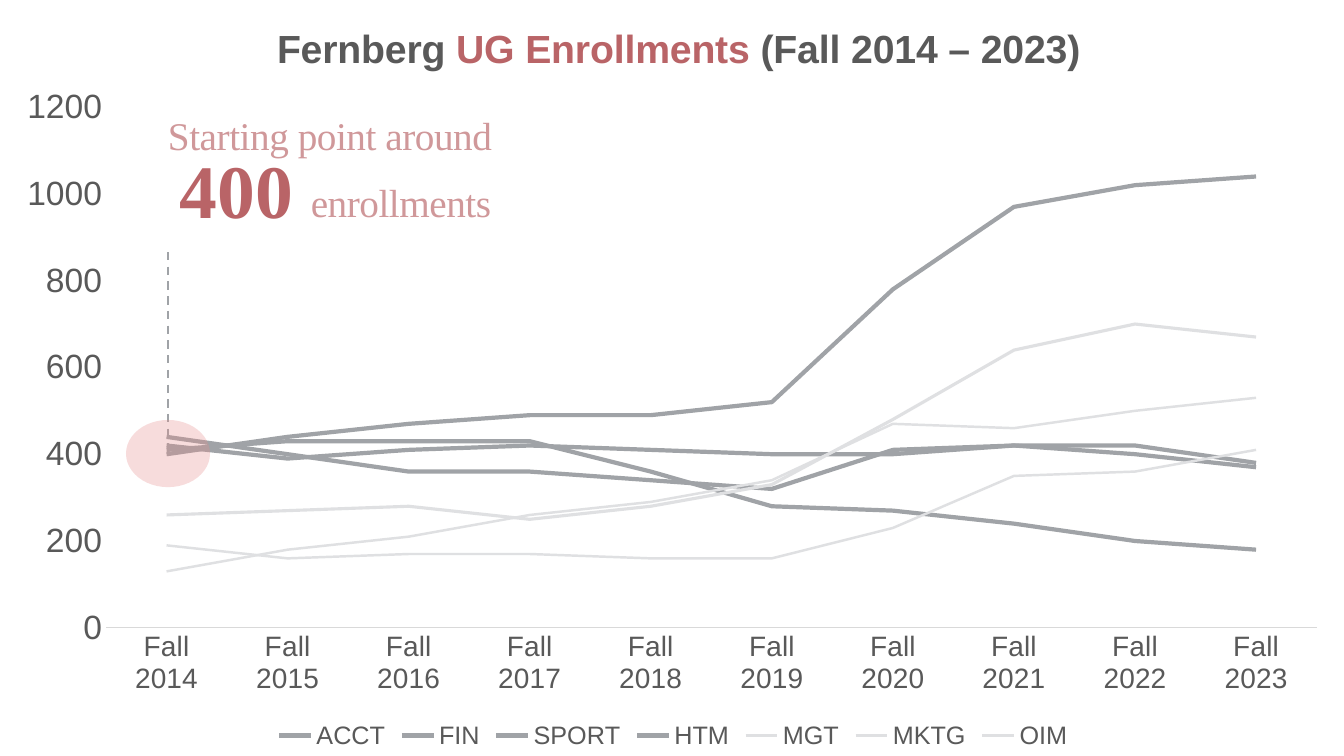
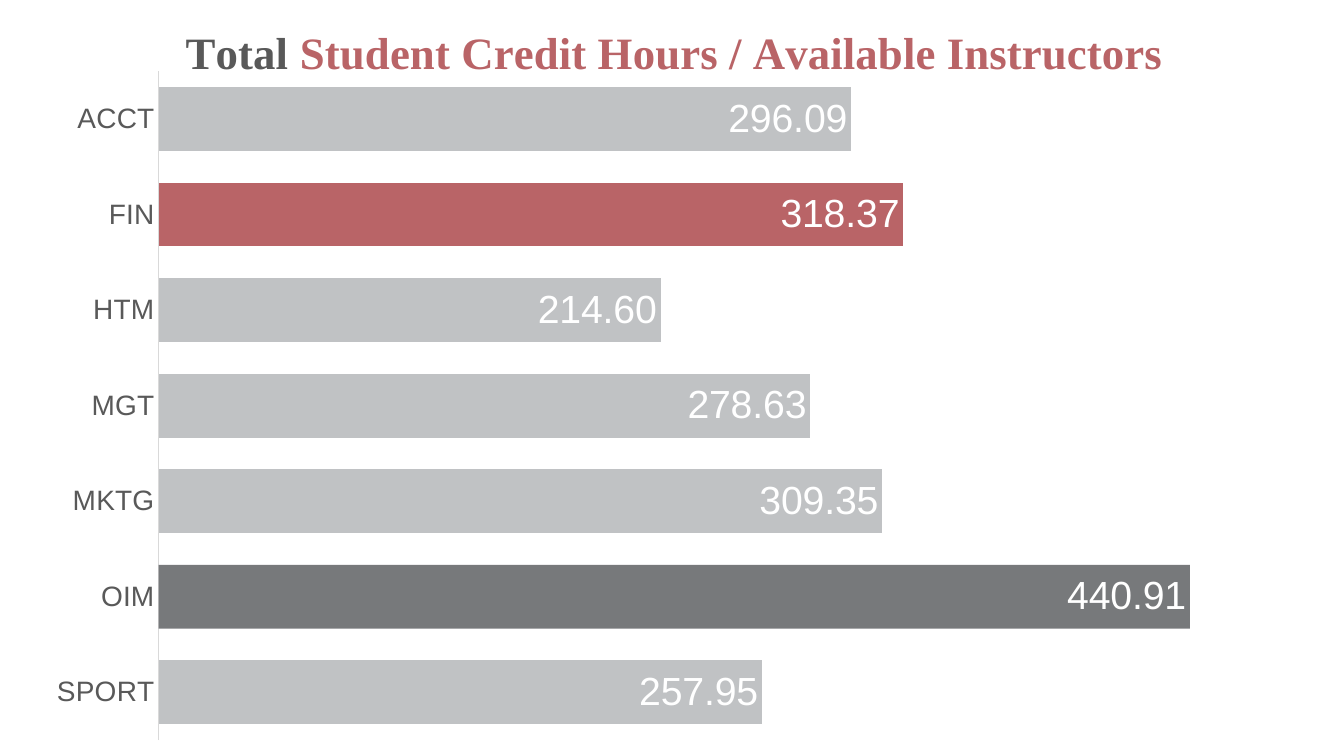
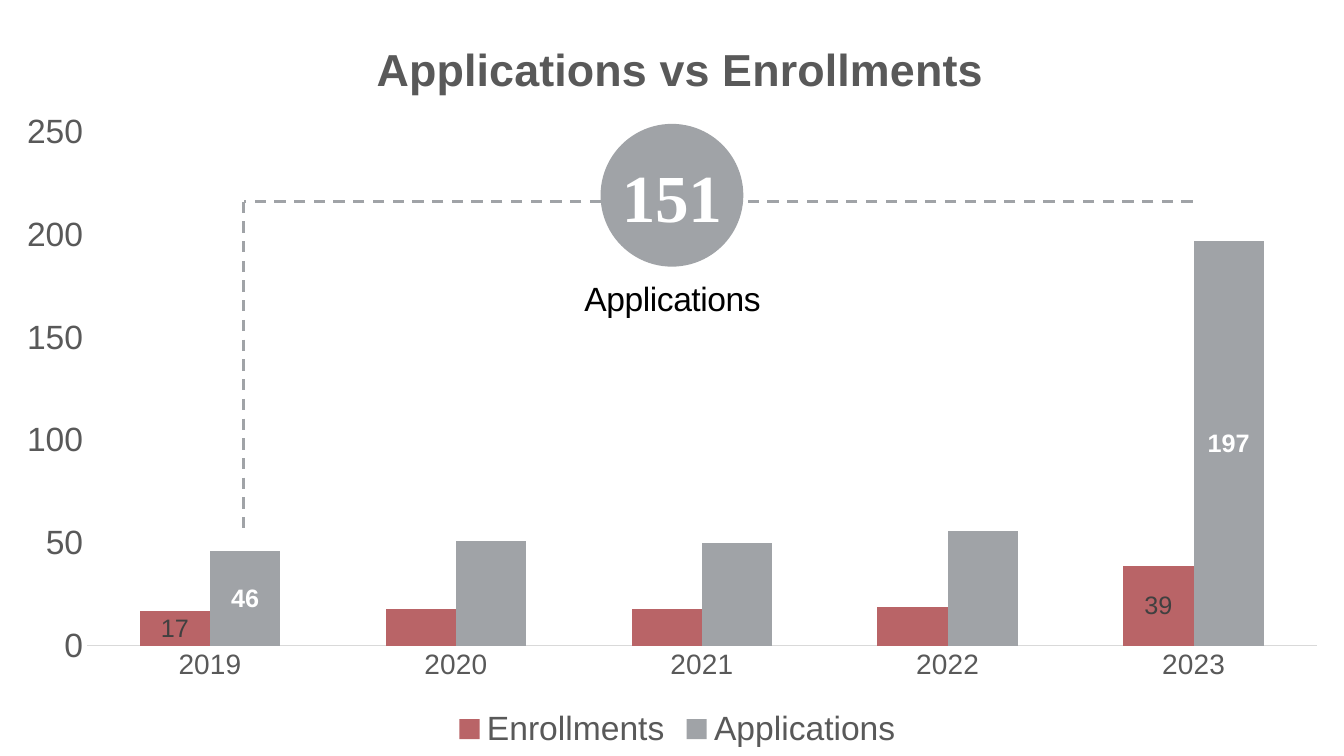
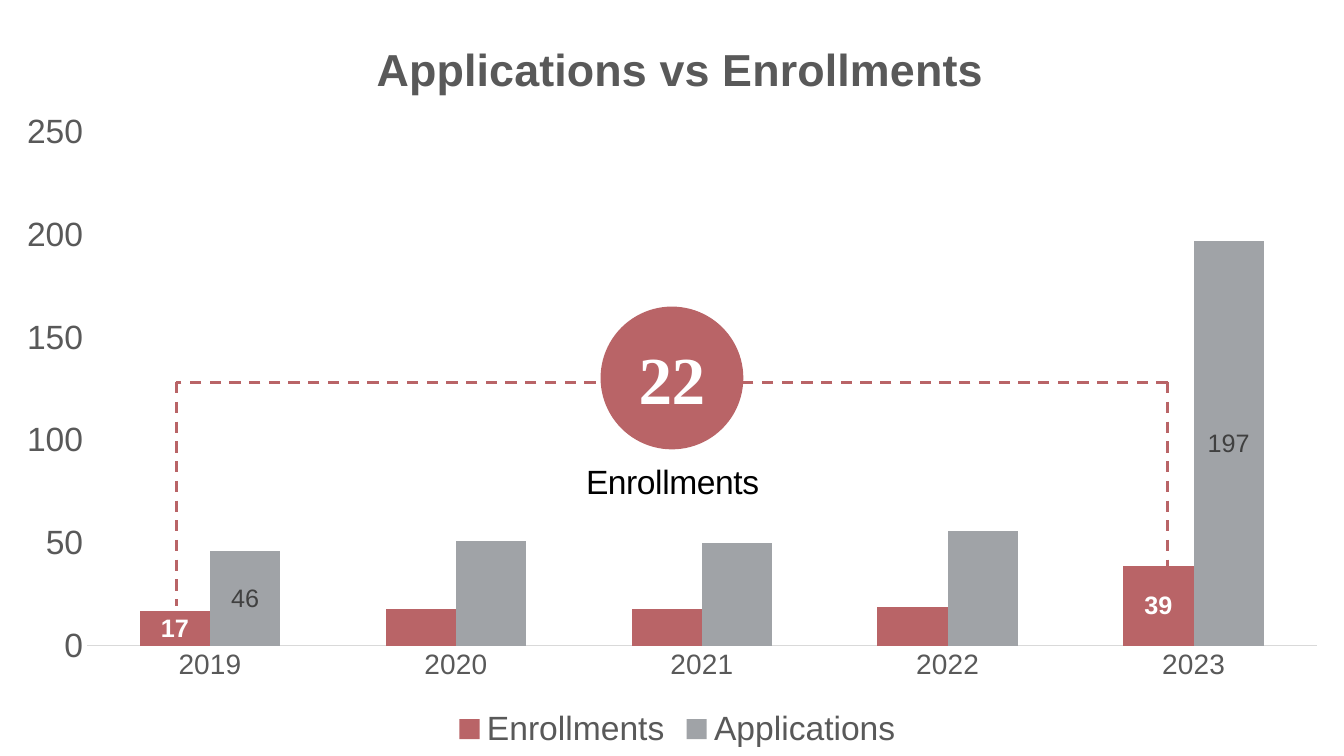
"""Build four slides of enrollment, credit-hour and application charts."""
from lxml.etree import SubElement
from pptx import Presentation
from pptx.chart.data import CategoryChartData
from pptx.dml.color import RGBColor
from pptx.enum.chart import (XL_CHART_TYPE, XL_LABEL_POSITION,
                             XL_LEGEND_POSITION, XL_TICK_MARK)
from pptx.enum.dml import MSO_LINE
from pptx.enum.shapes import MSO_CONNECTOR, MSO_SHAPE
from pptx.enum.text import MSO_ANCHOR, MSO_AUTO_SIZE, PP_ALIGN
from pptx.oxml.ns import qn
from pptx.util import Pt

PX = 9525
WIDTH, HEIGHT = 1280, 720
SANS, SERIF = "Arial", "Times New Roman"
COLORS = {
    "text": "595959", "red": "B96467", "rose": "D0989A", "blush": "E78C8C",
    "grey": "A0A3A7", "pale": "DFE0E2", "bar": "C0C2C4", "dark": "4A4D50",
    "axis": "D9D9D9", "label": "404040", "white": "FFFFFF", "black": "000000",
}

ENROLLMENTS = {
    "kind": XL_CHART_TYPE.LINE,
    "title": [("Fernberg ", "text"), ("UG Enrollments", "red"),
              (" (Fall 2014 – 2023)", "text")],
    "title_font": {"name": SANS, "size": 28},
    "title_at": (261, 23),
    "plot": (101, 102, 1153, 496),
    "axis_max": 1200, "axis_step": 200,
    "legend_size": 18, "legend_at": (258, 685),
    "categories": [f"Fall {year}" for year in range(2014, 2024)],
    "series": [
        ("ACCT", (440, 400, 360, 360, 340, 320, 410, 420, 400, 370), "grey", 3),
        ("FIN", (400, 440, 470, 490, 490, 520, 780, 970, 1020, 1040), "grey", 3),
        ("SPORT", (420, 390, 410, 420, 410, 400, 400, 420, 420, 380), "grey", 3),
        ("HTM", (410, 430, 430, 430, 360, 280, 270, 240, 200, 180), "grey", 3),
        ("MGT", (190, 160, 170, 170, 160, 160, 230, 350, 360, 410), "pale", 1.75),
        ("MKTG", (260, 270, 280, 250, 280, 330, 480, 640, 700, 670), "pale", 2.25),
        ("OIM", (130, 180, 210, 260, 290, 340, 470, 460, 500, 530), "pale", 1.75),
    ],
}
START_TEXTS = [
    ("Starting point around", (160, 104, 368, 44), 0,
     {"size": 28, "color": "rose", "spacing": -30}, 1.05),
    ("400", (152, 136, 152, 87), 19,
     {"size": 54, "color": "red", "bold": True}, 1),
    ("enrollments", (296, 168, 200, 44), 0,
     {"size": 28, "color": "rose", "spacing": -30}, 1.05),
]

CREDIT_HOURS = {
    "kind": XL_CHART_TYPE.BAR_CLUSTERED,
    "title": [("Total ", "text"),
              ("Student Credit Hours / Available Instructors", "red")],
    "title_font": {"name": SERIF, "size": 32},
    "title_at": (174, 23),
    "plot": (151, 68, 1114, 637),
    "axis_max": 500, "axis_step": 100,
    "categories": ["ACCT", "FIN", "HTM", "MGT", "MKTG", "OIM", "SPORT"],
    "series": [("Series 1", (296.09, 318.37, 214.6, 278.63, 309.35, 440.91, 257.95),
                "bar", 0)],
    "gap": 50,
}

APPLICATIONS = {
    "kind": XL_CHART_TYPE.COLUMN_CLUSTERED,
    "title": [("Applications vs Enrollments", "text")],
    "title_font": {"name": SANS, "size": 32},
    "title_at": (351, 31),
    "plot": (83, 126, 1171, 489),
    "axis_max": 250, "axis_step": 50,
    "legend_size": 24, "legend_at": (427, 672),
    "categories": [str(year) for year in range(2019, 2024)],
    "series": [("Enrollments", (17, 18, 18, 19, 39), "red", 0),
               ("Applications", (46, 51, 50, 56, 197), "grey", 0)],
    "gap": 150,
}
GROWTH = [
    {"focus": "Applications", "gain": "151", "color": "grey", "circle_top": 118,
     "lines": [(1136, 192, 232, 192), (232, 192, 232, 511)]},
    {"focus": "Enrollments", "gain": "22", "color": "red", "circle_top": 292,
     "lines": [(1112, 364, 168, 364), (168, 364, 168, 577),
               (1112, 364, 1112, 564)]},
]


def emu(*lengths):
    return [length * PX for length in lengths]


def rgb(color):
    return RGBColor.from_string(COLORS[color])


def apply(target, **formats):
    for attribute, value in formats.items():
        setattr(target, attribute, value)


def style_font(font, size, color, name=SANS, bold=False):
    apply(font, size=Pt(size), name=name, bold=bold)
    font.color.rgb = rgb(color)


def set_alpha(fill_owner, percent):
    color = fill_owner.xpath(".//a:solidFill/a:srgbClr")[0]
    SubElement(color, qn("a:alpha")).set("val", str(percent * 1000))


def place(part, index, box):
    for old in part.findall(qn("c:layout")):
        part.remove(old)
    layout = SubElement(part, qn("c:layout"))
    part.insert(index, layout)
    manual = SubElement(layout, qn("c:manualLayout"))
    settings = {"xMode": "edge", "yMode": "edge"}
    if len(box) == 4:
        settings = {"layoutTarget": "inner", **settings}
    for key, length, whole in zip("xywh", box, (WIDTH, HEIGHT) * 2):
        settings[key] = f"{length / whole:.4f}"
    for tag, value in settings.items():
        SubElement(manual, qn(f"c:{tag}")).set("val", value)


def add_chart(slide, content):
    data = CategoryChartData()
    data.categories = content["categories"]
    for name, values, *_ in content["series"]:
        data.add_series(name, values)
    chart = slide.shapes.add_chart(
        content["kind"], *emu(0, 0, WIDTH, HEIGHT), data).chart
    style_font(chart.font, 10, "black")

    chart.has_title = True
    heading = chart.chart_title.text_frame.paragraphs[0]
    for text, color in content["title"]:
        run = heading.add_run()
        run.text = text
        style_font(run.font, color=color, bold=True, **content["title_font"])
    place(chart.element.xpath("c:chart/c:title")[0], 1, content["title_at"])
    place(chart.element.xpath("c:chart/c:plotArea")[0], 0, content["plot"])

    for axis, size in ((chart.category_axis, 20), (chart.value_axis, 24)):
        apply(axis, has_major_gridlines=False, major_tick_mark=XL_TICK_MARK.NONE,
              minor_tick_mark=XL_TICK_MARK.NONE)
        style_font(axis.tick_labels.font, size, "text")
    chart.category_axis.format.line.color.rgb = rgb("axis")
    chart.category_axis.format.line.width = Pt(0.75)
    chart.value_axis.format.line.fill.background()
    apply(chart.value_axis, minimum_scale=0, maximum_scale=content["axis_max"],
          major_unit=content["axis_step"])

    chart.has_legend = "legend_size" in content
    if chart.has_legend:
        apply(chart.legend, position=XL_LEGEND_POSITION.BOTTOM,
              include_in_layout=False)
        style_font(chart.legend.font, content["legend_size"], "text")
        place(chart.element.xpath("c:chart/c:legend")[0], 1, content["legend_at"])

    plot = chart.plots[0]
    plot.vary_by_categories = False
    if "gap" in content:
        plot.gap_width = content["gap"]
    for series, (_, _, color, weight) in zip(plot.series, content["series"]):
        if weight:
            series.smooth = False
            series.format.line.color.rgb = rgb(color)
            series.format.line.width = Pt(weight)
        else:
            series.format.fill.solid()
            series.format.fill.fore_color.rgb = rgb(color)
    return chart


def add_dashes(shapes, ends, color, weight):
    dashes = shapes.add_connector(MSO_CONNECTOR.STRAIGHT, *emu(*ends))
    dashes.line.color.rgb = rgb(color)
    apply(dashes.line, width=Pt(weight), dash_style=MSO_LINE.DASH)
    SubElement(dashes.element.spPr, qn("a:effectLst"))


def add_ellipse(shapes, box, color):
    ellipse = shapes.add_shape(MSO_SHAPE.OVAL, *emu(*box))
    ellipse.shadow.inherit = False
    ellipse.fill.solid()
    ellipse.fill.fore_color.rgb = rgb(color)
    ellipse.line.fill.background()
    return ellipse


def write(shape, text, margins=(0, 0), anchor=MSO_ANCHOR.TOP, wrap=True,
          spacing=0, align=PP_ALIGN.LEFT, **font):
    frame = shape.text_frame
    left, right = emu(*margins)
    apply(frame, margin_left=left, margin_right=right, margin_top=0,
          margin_bottom=0, vertical_anchor=anchor, word_wrap=wrap)
    paragraph = frame.paragraphs[0]
    paragraph.alignment = align
    run = paragraph.add_run()
    run.text = text
    style_font(run.font, **font)
    if spacing:
        run.font._element.set("spc", str(spacing))
    return paragraph


def add_text(shapes, box, text, **formats):
    label = shapes.add_textbox(*emu(*box))
    paragraph = write(label, text, **formats)
    label.text_frame.auto_size = MSO_AUTO_SIZE.SHAPE_TO_FIT_TEXT
    return paragraph


def build_enrollments(slide):
    add_chart(slide, ENROLLMENTS)
    callout = slide.shapes.add_group_shape().shapes
    add_dashes(callout, (160, 240, 160, 432), "grey", 1.5)
    start = add_ellipse(callout, (120, 400, 80, 64), "blush")
    set_alpha(start.element.spPr, 30)
    for text, box, left, formats, line_spacing in START_TEXTS:
        anchor = MSO_ANCHOR.MIDDLE if left else MSO_ANCHOR.TOP
        paragraph = add_text(callout, box, text, margins=(left, 19),
                             anchor=anchor, name=SERIF, **formats)
        if line_spacing != 1:
            apply(paragraph, line_spacing=line_spacing, space_after=Pt(4))


def build_credit_hours(slide):
    chart = add_chart(slide, CREDIT_HOURS)
    chart.category_axis.reverse_order = True
    chart.value_axis.visible = False
    hours = chart.plots[0].series[0]
    apply(hours.data_labels, show_value=True, number_format="0.00",
          number_format_is_linked=False, position=XL_LABEL_POSITION.INSIDE_END)
    style_font(hours.data_labels.font, 28, "white")
    for department, color in (("FIN", "red"), ("OIM", "dark")):
        bar = hours.points[CREDIT_HOURS["categories"].index(department)]
        bar.format.fill.solid()
        bar.format.fill.fore_color.rgb = rgb(color)
    set_alpha(chart.element.xpath(".//c:dPt[c:idx/@val='5']")[0], 75)


def build_growth(slide, growth):
    chart = add_chart(slide, APPLICATIONS)
    for series in chart.plots[0].series:
        series.data_labels.show_value = False
        focused = series.name == growth["focus"]
        for year in (0, len(APPLICATIONS["categories"]) - 1):
            label = series.points[year].data_label
            style_font(label.font, 18, "white" if focused else "label",
                       bold=focused)
            label.position = XL_LABEL_POSITION.CENTER
    for ends in growth["lines"]:
        add_dashes(slide.shapes, ends, growth["color"], 2)
    top, size = growth["circle_top"], 136
    circle = add_ellipse(slide.shapes, ((WIDTH - size) // 2, top, size, size),
                         growth["color"])
    centred = {"align": PP_ALIGN.CENTER, "spacing": -30}
    write(circle, growth["gain"], anchor=MSO_ANCHOR.MIDDLE, wrap=False,
          size=48, color="white", name=SERIF, bold=True, **centred)
    add_text(slide.shapes, (533, top + size + 11, 215, 38), growth["focus"],
             size=24, color="black", **centred)


def main():
    deck = Presentation()
    deck.slide_width, deck.slide_height = emu(WIDTH, HEIGHT)
    blank = deck.slide_layouts[6]
    build_enrollments(deck.slides.add_slide(blank))
    build_credit_hours(deck.slides.add_slide(blank))
    for growth in GROWTH:
        build_growth(deck.slides.add_slide(blank), growth)
    deck.save("out.pptx")


if __name__ == "__main__":
    main()
